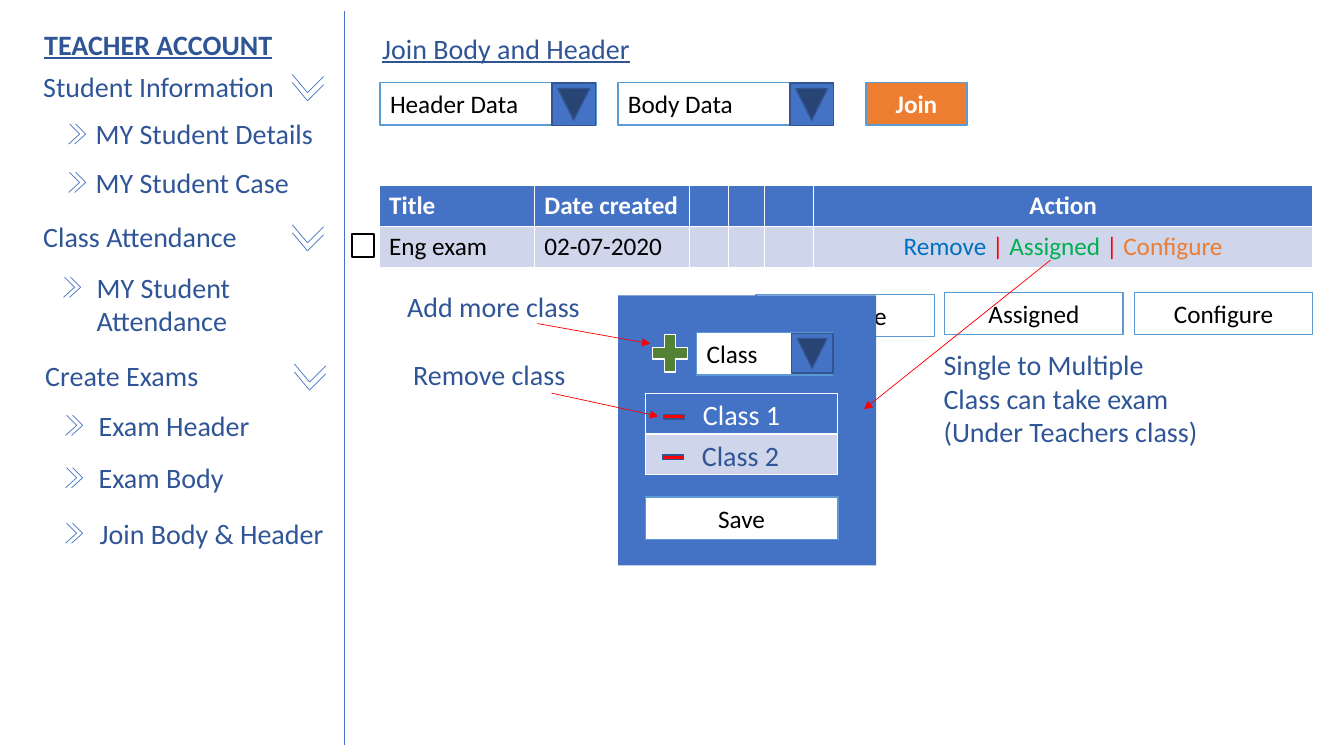
import pptx
import pptx.util
import pptx.dml.color
import pptx.enum.shapes
import pptx.enum.text
import pptx.oxml
import pptx.oxml.ns

Inches = pptx.util.Inches
Pt = pptx.util.Pt
color = pptx.dml.color.RGBColor.from_string
Shape = pptx.enum.shapes.MSO_SHAPE
Align = pptx.enum.text.PP_ALIGN
Anchor = pptx.enum.text.MSO_ANCHOR
LEFT, CENTER = Align.LEFT, Align.CENTER

WHITE, BLACK, RED = "FFFFFF", "000000", "FF0000"
BLUE, NAVY, SKY = "4472C4", "2F5597", "5B9BD5"
EDGE, BAND, ORANGE, GREEN = "325491", "CFD5EA", "ED7D31", "548235"


def write(text_frame, runs, size, align=LEFT, bold=False, underline=False):
    paragraph = text_frame.paragraphs[0]
    paragraph.alignment = align
    for text, hex_color in runs:
        run = paragraph.add_run()
        run.text = text
        run.font.name = "Calibri"
        run.font.size = Pt(size)
        run.font.bold = bold
        run.font.underline = underline
        run.font.color.rgb = color(hex_color)


def add_box(kind, left, top, width, height, fill, line=None, rotation=0):
    shape = slide.shapes.add_shape(
        kind, Inches(left), Inches(top), Inches(width), Inches(height))
    shape.shadow.inherit = False
    shape.rotation = rotation
    shape.fill.solid()
    shape.fill.fore_color.rgb = color(fill)
    if line:
        shape.line.color.rgb = color(line)
        shape.line.width = Pt(1)
    else:
        shape.line.fill.background()
    shape.text_frame.vertical_anchor = Anchor.MIDDLE
    return shape.text_frame


presentation = pptx.Presentation()
presentation.slide_width = Inches(13.33)
presentation.slide_height = Inches(7.5)
slide = presentation.slides.add_slide(presentation.slide_layouts[5])

title = slide.shapes.title
title.left, title.top = Inches(3.69), Inches(0.26)
title.width, title.height = Inches(3.96), Inches(0.44)
title.text_frame.vertical_anchor = Anchor.TOP
title.text_frame.auto_size = pptx.enum.text.MSO_AUTO_SIZE.NONE
write(title.text_frame, [("Join Body and Header", NAVY)], 20, underline=True)

for index, label in enumerate(["Assigned", "Configure"]):
    button = add_box(Shape.RECTANGLE, 9.37 + 1.88 * index, 2.9, 1.77, 0.42, WHITE, SKY)
    write(button, [(label, BLACK)], 18, CENTER)
button = add_box(Shape.RECTANGLE, 7.5, 2.92, 1.77, 0.42, WHITE, SKY)
write(button, [("Remove", BLACK)], 18, CENTER)

join = add_box(Shape.RECTANGLE, 8.59, 0.82, 1, 0.42, ORANGE, SKY)
write(join, [("Join", WHITE)], 18, CENTER, bold=True)

for label, left, arrow_left in [("Header Data", 3.77, 5.48), ("Body Data", 6.13, 7.84)]:
    dropdown = add_box(Shape.RECTANGLE, left, 0.82, 2.14, 0.42, WHITE, SKY)
    write(dropdown, [(label, BLACK)], 18)
    add_box(Shape.ACTION_BUTTON_FORWARD_OR_NEXT, arrow_left, 0.82, 0.42, 0.43,
            BLUE, EDGE, 90)

add_box(Shape.RECTANGLE, 6.13, 2.93, 2.56, 2.68, BLUE)
class_dropdown = add_box(Shape.RECTANGLE, 6.91, 3.3, 1.35, 0.42, WHITE, SKY)
write(class_dropdown, [("Class ", BLACK)], 18)
add_box(Shape.ACTION_BUTTON_BACK_OR_PREVIOUS, 7.86, 3.3, 0.39, 0.41, BLUE, EDGE, 270)
save = add_box(Shape.RECTANGLE, 6.4, 4.93, 1.91, 0.42, WHITE, SKY)
write(save, [("Save", BLACK)], 18, CENTER)
add_box(Shape.MATH_PLUS, 6.41, 3.25, 0.47, 0.51, GREEN, WHITE)
add_box(Shape.RECTANGLE, 3.49, 2.32, 0.22, 0.23, WHITE, BLACK)

actions = [("Remove", "0070C0"), (" | ", RED), ("Assigned ", "00B050"),
           ("| ", RED), ("Configure", ORANGE)]
exam_rows = [
    [[("Title", WHITE)], [("Date created", WHITE)], [], [], [], [("Action", WHITE)]],
    [[("Eng exam", BLACK)], [("02-07-2020", BLACK)], [], [], [], actions],
]
tables = [
    (3.76, 1.84, [1.54, 1.54, 0.39, 0.35, 0.49, 4.95], exam_rows),
    (6.4, 3.9, [1.91], [[[]], [[]]]),
]
for left, top, widths, rows in tables:
    table = slide.shapes.add_table(
        2, len(widths), Inches(left), Inches(top),
        Inches(sum(widths)), Inches(0.81)).table
    for column, width in zip(table.columns, widths):
        column.width = Inches(width)
    for row_index, row in enumerate(rows):
        for column_index, runs in enumerate(row):
            cell = table.cell(row_index, column_index)
            cell.fill.solid()
            cell.fill.fore_color.rgb = color([BLUE, BAND][row_index])
            write(cell.text_frame, runs, 18, CENTER if column_index == 5 else LEFT,
                  bold=row_index == 0)

sections = [("Student Information", 0.33, 0.64, 2.9),
            ("Class Attendance", 0.33, 2.13, 2.9),
            ("Create Exams", 0.35, 3.51, 2.92)]
pages = [("MY Student Details", 0.85, 1.11, 2.51, 0.68),
         ("MY Student Case", 0.85, 1.59, 2.51, 0.68),
         ("MY Student Attendance", 0.86, 2.63, 2.21, 0.63),
         ("Exam Header", 0.88, 4, 2.21, 0.65),
         ("Exam Body", 0.88, 4.52, 2.21, 0.65),
         ("Join Body & Header", 0.89, 5.07, 2.47, 0.65)]
labels = [
    ("TEACHER ACCOUNT", 0.34, 0.22, 2.68, NAVY, LEFT, True),
    ("Class 2", 6.78, 4.3, 1.13, NAVY, CENTER, False),
    ("Class 1", 6.79, 3.89, 1.13, WHITE, CENTER, False),
    ("Single to Multiple Class can take exam (Under Teachers class)",
     9.26, 3.4, 2.74, NAVY, LEFT, False),
    ("Add more class", 3.94, 2.82, 2.13, NAVY, LEFT, False),
    ("Remove class", 4, 3.5, 2.13, NAVY, LEFT, False),
]
lines = [(3.42, 0.11, 3.42, 7.39, BLUE)]
for label, left, top, mark_left in sections:
    labels.append((label, left, top, 2.51, NAVY, LEFT, False))
    for drop in (0.1, 0.18):
        tip = (mark_left + 0.15, top + drop + 0.18, BLUE)
        lines.append((mark_left, top + drop, *tip))
        lines.append((mark_left + 0.31, top + drop + 0.02, *tip))
for label, left, top, width, mark_left in pages:
    labels.append((label, left, top, width, NAVY, LEFT, False))
    for shift in (0, 0.06):
        tip = (mark_left + shift + 0.11, top + 0.22, BLUE)
        lines.append((mark_left + shift + 0.01, top + 0.12, *tip))
        lines.append((mark_left + shift, top + 0.32, *tip))
lines += [(10.42, 2.58, 8.57, 4.06, RED),
          (5.33, 3.21, 6.45, 3.41, RED),
          (5.47, 3.9, 6.53, 4.13, RED)]

heights = {"MY Student Attendance": 0.77, labels[3][0]: 1.11}
for label, left, top, width, hex_color, align, heading in labels:
    text_box = slide.shapes.add_textbox(
        Inches(left), Inches(top), Inches(width), Inches(heights.get(label, 0.44)))
    text_box.text_frame.word_wrap = True
    write(text_box.text_frame, [(label, hex_color)], 20, align, heading, heading)

for start_x, start_y, end_x, end_y, hex_color in lines:
    connector = slide.shapes.add_connector(
        pptx.enum.shapes.MSO_CONNECTOR.STRAIGHT,
        Inches(start_x), Inches(start_y), Inches(end_x), Inches(end_y))
    connector.line.color.rgb = color(hex_color)
    connector.line.width = Pt(0.5)
    if hex_color == RED:
        arrowhead = pptx.oxml.parse_xml(
            "<a:tailEnd %s type='triangle'/>" % pptx.oxml.ns.nsdecls("a"))
        connector.line._get_or_add_ln().append(arrowhead)
    connector._element.spPr.append(
        pptx.oxml.parse_xml("<a:effectLst %s/>" % pptx.oxml.ns.nsdecls("a")))

for left, top in [(6.53, 4.44), (6.54, 4.04)]:
    add_box(Shape.MATH_MINUS, left, top, 0.29, 0.19, RED, EDGE)

presentation.save("out.pptx")
